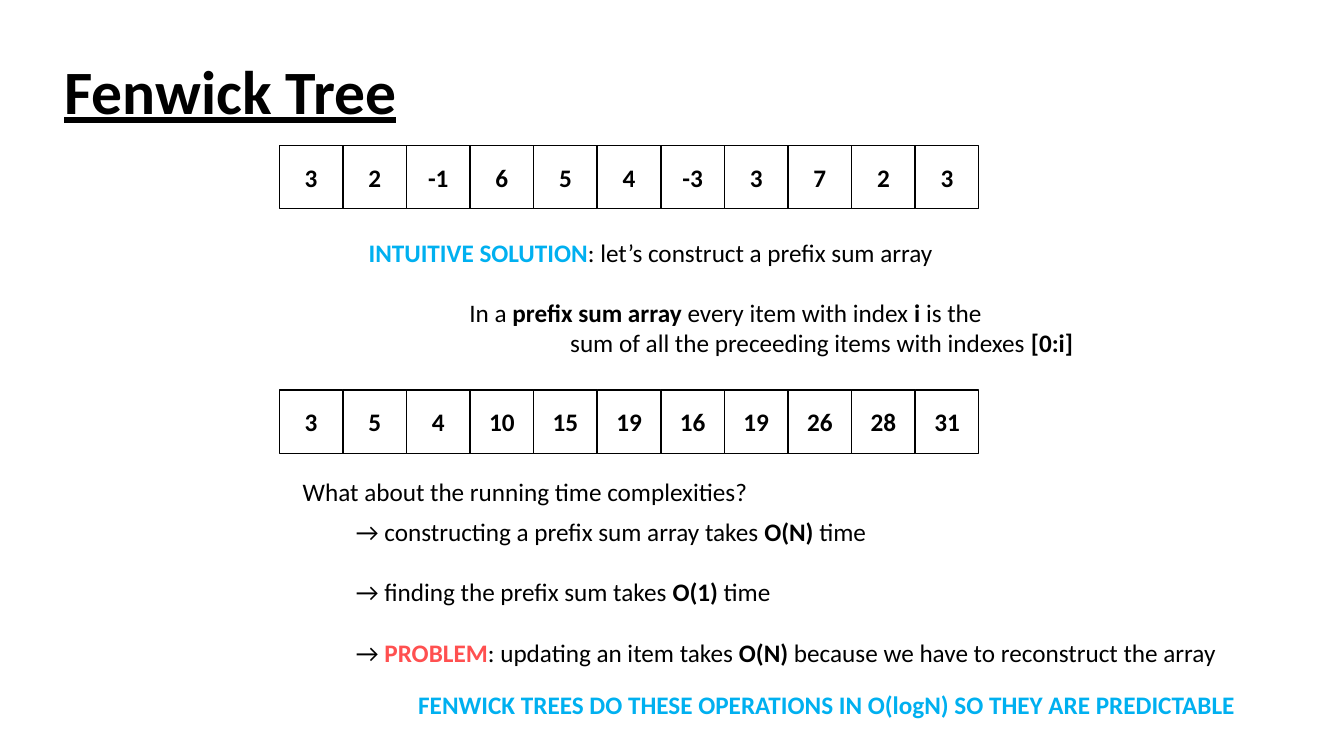
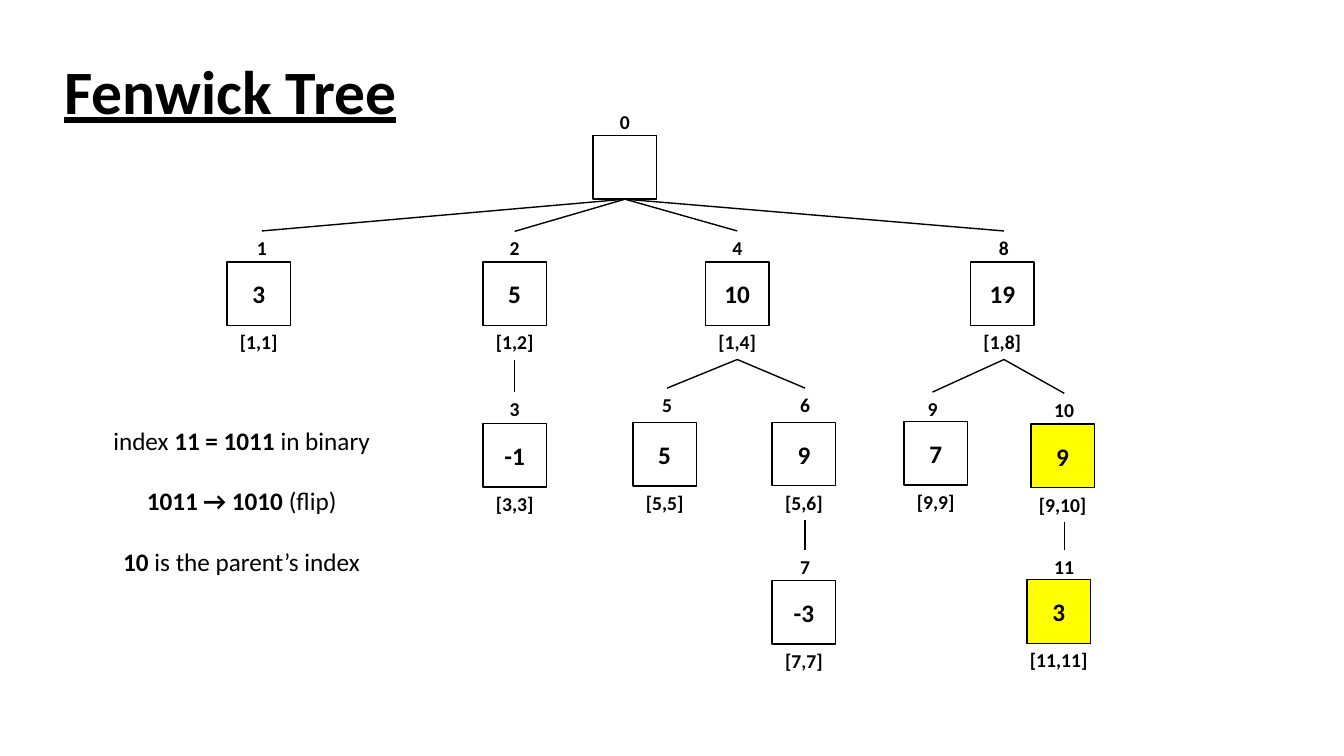
from pptx import Presentation
from pptx.dml.color import RGBColor
from pptx.enum.shapes import MSO_CONNECTOR, MSO_SHAPE
from pptx.enum.text import MSO_ANCHOR, PP_ALIGN
from pptx.oxml.ns import qn
from pptx.util import Cm, Pt

BLACK = RGBColor(0x00, 0x00, 0x00)
WHITE = RGBColor(0xFF, 0xFF, 0xFF)
BLUE = RGBColor(0x00, 0xB0, 0xF0)
RED = RGBColor(0xFF, 0x50, 0x50)
YELLOW = RGBColor(0xFF, 0xFF, 0x00)

LEFT, CENTER = PP_ALIGN.LEFT, PP_ALIGN.CENTER
TOP, MIDDLE = MSO_ANCHOR.TOP, MSO_ANCHOR.MIDDLE
RECT, STRAIGHT = MSO_SHAPE.RECTANGLE, MSO_CONNECTOR.STRAIGHT

# Run formats: size, weight, underline
BODY = {"name": "Calibri", "size": Pt(18), "bold": False}
BOLD = {**BODY, "bold": True}
LABEL = {**BOLD, "size": Pt(14)}
HEAD = {**BOLD, "size": Pt(44), "underline": True}

TITLE = "Fenwick Tree"
TITLE_AT = (1.37, 0.53, 29.21, 3.68)

# Arrays: top in cm and values
SIDE = 1.6
ROW_LEFT, ROW_WIDE = 7.04, 17.63
ARRAYS = [
    (3.66, [3, 2, -1, 6, 5, 4, -3, 3, 7, 2, 3]),
    (9.83, [3, 5, 4, 10, 15, 19, 16, 19, 26, 28, 31]),
]

# Text blocks: place, alignment, paragraphs as (indent cm, space before pt, runs);
# a run is (words, format, colour)
GAP = 21.6
NOTES = [
    ((9.04, 5.85, 18.47, 3.33), LEFT, [
        (0, 0, [("INTUITIVE SOLUTION", BOLD, BLUE),
                (": let’s construct a prefix sum array", BODY, BLACK)]),
        (2.54, GAP, [("In a ", BODY, BLACK), ("prefix sum array ", BOLD, BLACK),
                     ("every item with index", BODY, BLACK),
                     (" i ", BOLD, BLACK), ("is the", BODY, BLACK)]),
        (5.08, 0, [("sum of all the preceeding items with indexes ", BODY, BLACK),
                   ("[0:i]", BOLD, BLACK)]),
    ]),
    ((7.38, 11.89, 11.86, 2.57), LEFT, [
        (0, 0, [("What about the running time complexities?", BODY, BLACK)]),
    ]),
    ((10.29, 17.25, 21.29, 1.02), LEFT, [
        (0, 0, [("FENWICK TREES DO THESE OPERATIONS IN O(logN) "
                 "SO THEY ARE PREDICTABLE", BOLD, BLUE)]),
    ]),
    ((8.72, 12.88, 22.5, 4.88), LEFT, [
        (0, 0, [("→ constructing a prefix sum array takes ", BODY, BLACK),
                ("O(N)", BOLD, BLACK), (" time", BODY, BLACK)]),
        (0, GAP, [("→ finding the prefix sum takes ", BODY, BLACK),
                  ("O(1)", BOLD, BLACK), (" time", BODY, BLACK)]),
        (0, GAP, [("→ ", BODY, BLACK), ("PROBLEM", BOLD, RED),
                  (": updating an item takes ", BODY, BLACK),
                  ("O(N) ", BOLD, BLACK),
                  ("because we have to reconstruct the array", BODY, BLACK)]),
    ]),
]
FLIP = ((2.56, 10.59, 7.06, 5.64), CENTER, [
    (0, 0, [("index", BODY, BLACK), (" 11 = 1011 ", BOLD, BLACK),
            ("in binary", BODY, BLACK)]),
    (0, GAP, [("1011 → 1010 ", BOLD, BLACK), ("(flip)", BODY, BLACK)]),
    (0, GAP, [("10", BOLD, BLACK), (" is the parent’s index", BODY, BLACK)]),
])

# Tree: index -> (parent, index label centre and top, box centre and top,
# value, range, fill)
TREE = {
    0: (None, (15.75, 2.64), (15.75, 3.42), "", "", WHITE),
    1: (0, (6.6, 5.82), (6.52, 6.6), 3, "[1,1]", WHITE),
    2: (0, (12.97, 5.83), (12.97, 6.6), 5, "[1,2]", WHITE),
    4: (0, (18.58, 5.82), (18.58, 6.6), 10, "[1,4]", WHITE),
    8: (0, (25.3, 5.82), (25.26, 6.6), 19, "[1,8]", WHITE),
    3: (2, (12.97, 9.88), (12.97, 10.67), -1, "[3,3]", WHITE),
    5: (4, (16.81, 9.78), (16.75, 10.65), 5, "[5,5]", WHITE),
    6: (4, (20.29, 9.78), (20.26, 10.64), 9, "[5,6]", WHITE),
    9: (8, (23.5, 9.88), (23.58, 10.62), 7, "[9,9]", WHITE),
    10: (8, (26.82, 9.91), (26.78, 10.69), 9, "[9,10]", YELLOW),
    7: (6, (20.29, 13.87), (20.26, 14.63), -3, "[7,7]", WHITE),
    11: (10, (26.82, 13.87), (26.68, 14.61), 3, "[11,11]", YELLOW),
}
TALL = 0.86    # height of a label
CHAR = 0.25    # width of a label character


def place(at):
    """Turn a place in cm into lengths."""
    return [Cm(n) for n in at]


def write(frame, paras, align, anchor=TOP, wrap=True):
    """Fill a text frame with formatted paragraphs."""
    frame.word_wrap = wrap
    frame.vertical_anchor = anchor
    for i, (indent, gap, runs) in enumerate(paras):
        para = frame.add_paragraph() if i else frame.paragraphs[0]
        para.alignment = align
        para.space_before = Pt(gap)
        if indent:
            para._p.get_or_add_pPr().set("marL", str(Cm(indent)))
        for words, style, color in runs:
            run = para.add_run()
            run.text = words
            for key, value in style.items():
                setattr(run.font, key, value)
            run.font.color.rgb = color


def add_page(deck):
    """Add a slide with the shared title."""
    page = deck.slides.add_slide(deck.slide_layouts[5])
    head = page.shapes.title
    head.left, head.top, head.width, head.height = place(TITLE_AT)
    write(head.text_frame, [(0, 0, [(TITLE, HEAD, BLACK)])], LEFT, MIDDLE)
    head.text_frame.paragraphs[0].line_spacing = 0.9
    return page


def add_note(page, at, align, paras, wrap=True):
    """Add a text box and return its frame."""
    frame = page.shapes.add_textbox(*place(at)).text_frame
    write(frame, paras, align, wrap=wrap)
    return frame


def add_label(page, mid, top, words, pad):
    """Add a small label centred on mid."""
    wide = pad + CHAR * len(words)
    frame = add_note(page, (mid - wide / 2, top, wide, TALL), CENTER,
                     [(0, 0, [(words, LABEL, BLACK)])], wrap=False)
    frame.margin_left = frame.margin_right = 0


def add_cell(page, left, top, value, fill=WHITE):
    """Add one square with its value."""
    cell = page.shapes.add_shape(RECT, *place((left, top, SIDE, SIDE)))
    cell.shadow.inherit = False
    cell.fill.solid()
    cell.fill.fore_color.rgb = fill
    cell.line.color.rgb = BLACK
    cell.line.width = Pt(1)
    if value != "":
        write(cell.text_frame, [(0, 0, [(str(value), BOLD, BLACK)])],
              CENTER, MIDDLE)


def add_edge(page, start, end):
    """Add a thin black line."""
    edge = page.shapes.add_connector(STRAIGHT, *place(start + end))
    edge.line.color.rgb = BLACK
    edge.line.width = Pt(1)
    props = edge._element.spPr
    props.append(props.makeelement(qn("a:effectLst"), {}))


def add_node(page, index):
    """Add a tree node, its labels and the edge to its parent."""
    parent, tag, (mid, top), value, span, fill = TREE[index]
    add_cell(page, mid - SIDE / 2, top, value, fill)
    add_label(page, *tag, str(index), 0.5)
    if span:
        add_label(page, mid, top + SIDE, span, 0.2)
    if parent is not None:
        _, (hub, _), (_, roof), _, reach, _ = TREE[parent]
        foot = roof + SIDE + (TALL if reach else 0)
        add_edge(page, (hub, foot), tag)


deck = Presentation()
deck.slide_width, deck.slide_height = Cm(33.87), Cm(19.05)

page = add_page(deck)
for top, values in ARRAYS:
    step = ROW_WIDE / len(values)
    for i, value in enumerate(values):
        add_cell(page, ROW_LEFT + i * step, top, value)
for note in NOTES:
    add_note(page, *note)

page = add_page(deck)
for index in TREE:
    add_node(page, index)
add_note(page, *FLIP)

deck.save("out.pptx")
